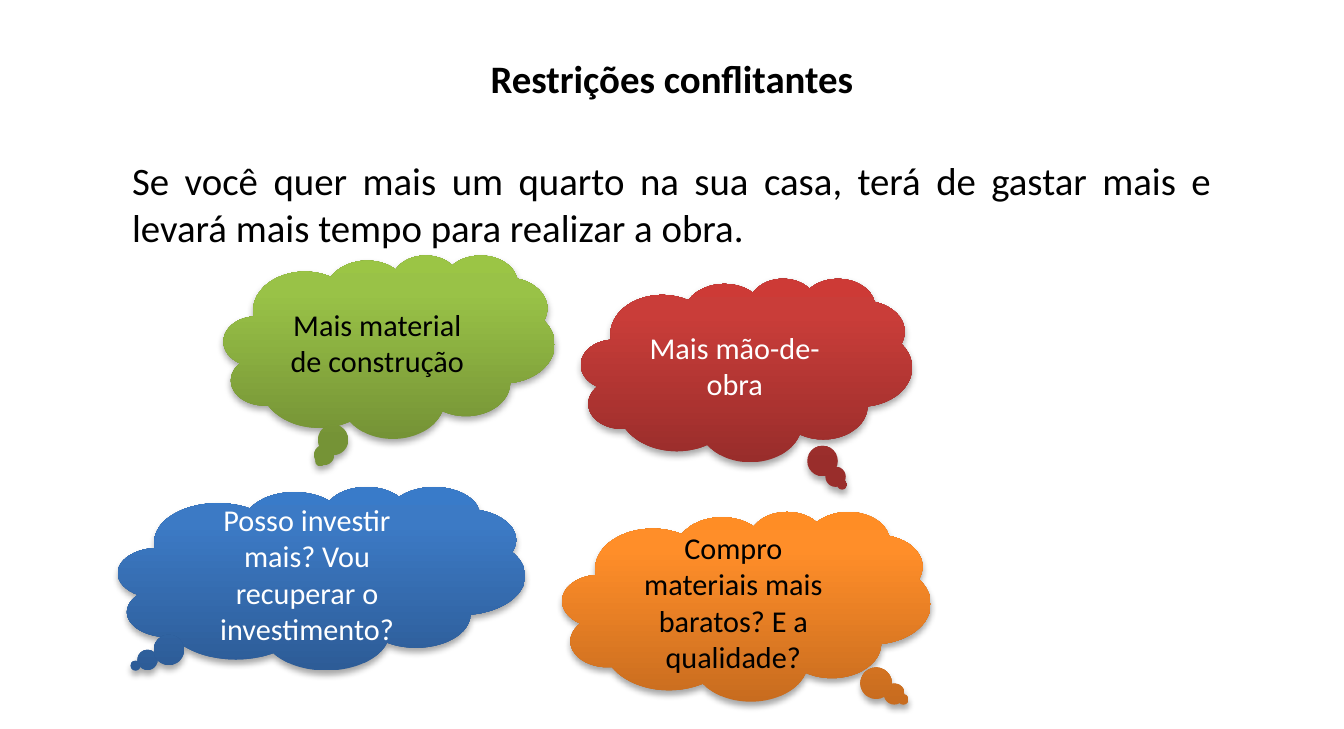
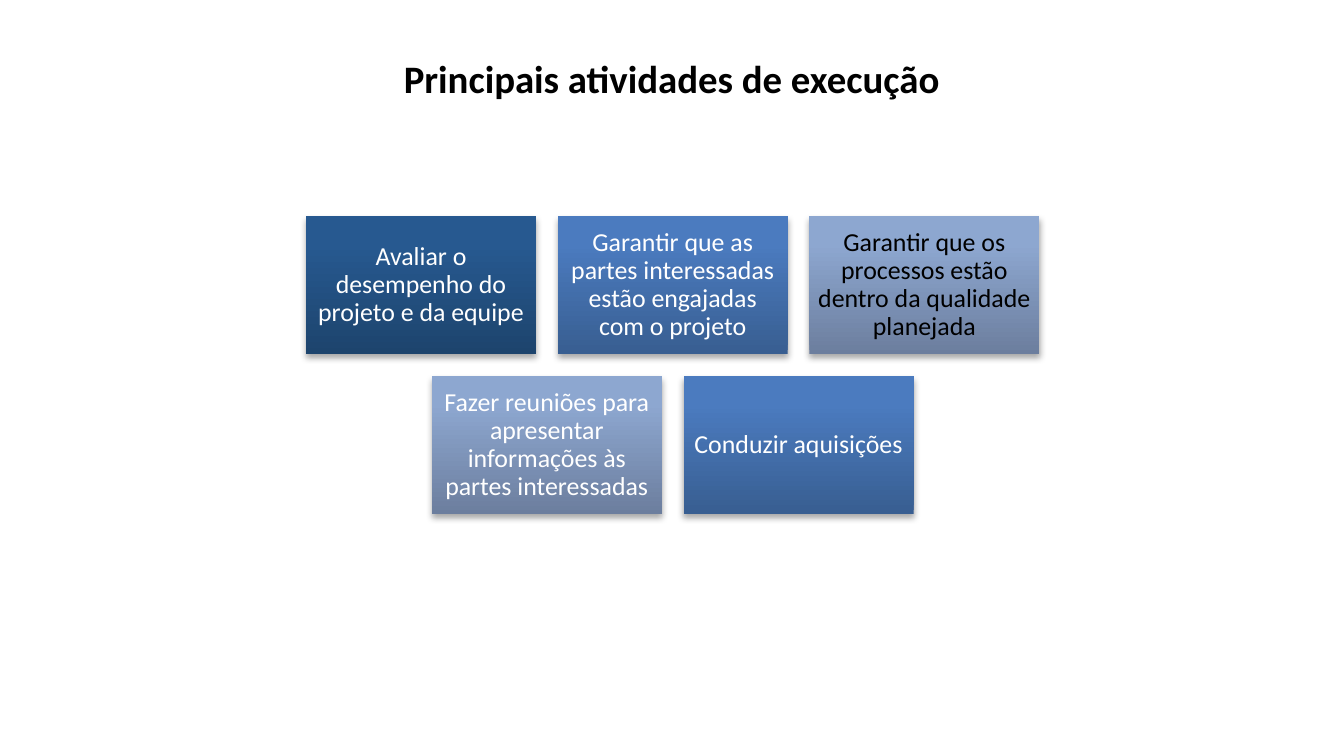
from copy import deepcopy
from dataclasses import dataclass

from lxml import etree
from pptx import Presentation
from pptx.dml.color import RGBColor
from pptx.enum.shapes import MSO_SHAPE as Preset
from pptx.enum.text import MSO_ANCHOR as Anchor, PP_ALIGN as Align
from pptx.oxml.ns import qn
from pptx.util import Inches, Pt


@dataclass(frozen=True)
class Theme:
    """Colours, gradients and type sizes shared by the slides."""

    font: str = "Calibri"
    black: str = "000000"
    white: str = "FFFFFF"
    heading_size: int = 18
    cloud_size: int = 14
    card_size: int = 12
    stops: tuple = (0, 0.8, 1)
    green: tuple = ("759336", "99C247", "9BC545")
    red: tuple = ("992D2B", "C93D39", "CD3A36")
    blue: tuple = ("2D5C97", "3C7AC5", "397BC9")
    orange: tuple = ("C86C1F", "FF8E29", "FF8D25")
    navy: tuple = ("1D446D", "275990", "255A93")
    steel: tuple = ("385E91", "4B7BBF", "497CC1")
    mist: tuple = ("6C7E9E", "8DA7D0", "8CA7D3")


@dataclass(frozen=True)
class Box:
    """A rectangle in inches."""

    left: float
    top: float
    width: float
    height: float

    def lengths(self):
        """Return the rectangle as slide lengths."""
        return [Inches(value) for value in (self.left, self.top, self.width, self.height)]

    def inner(self, left, top, width, height):
        """Return a rectangle placed relative to this one."""
        return Box(self.left + left, self.top + top, width, height)


THEME = Theme()
PAGE = Box(0, 0, 8.65, 4.69)


def write_text(shape, text, size, color, align=Align.CENTER, bold=False,
               anchor=Anchor.TOP, insets=(0.1, 0.05), spacing=None):
    """Fill a shape with one formatted paragraph."""
    frame = shape.text_frame
    frame.word_wrap = True
    frame.vertical_anchor = anchor
    frame.margin_left = frame.margin_right = Inches(insets[0])
    frame.margin_top = frame.margin_bottom = Inches(insets[1])
    paragraph = frame.paragraphs[0]
    paragraph.alignment = align
    if spacing:
        paragraph.line_spacing = spacing
    run = paragraph.add_run()
    run.text = text
    run.font.name = THEME.font
    run.font.size = Pt(size)
    run.font.bold = bold
    run.font.color.rgb = RGBColor.from_string(color)


def add_shadow(shape):
    """Give a shape the soft shadow that falls below it."""
    shape.shadow.inherit = False
    effects = shape.element.spPr.find(qn("a:effectLst"))
    shadow = etree.SubElement(effects, qn("a:outerShdw"), blurRad=str(Pt(3.1)),
                              dist=str(Pt(1.8)), dir="5400000", rotWithShape="0")
    color = etree.SubElement(shadow, qn("a:srgbClr"), val=THEME.black)
    etree.SubElement(color, qn("a:alpha"), val="35000")


def add_gradient_shape(slide, preset, box, colors):
    """Add a borderless shape, dark at the bottom, with a shadow."""
    shape = slide.shapes.add_shape(preset, *box.lengths())
    shape.fill.gradient()
    shape.fill.gradient_angle = 90
    stop_list = shape.element.spPr.find(".//" + qn("a:gsLst"))
    stop_list.append(deepcopy(stop_list[-1]))
    for stop, position, color in zip(shape.fill.gradient_stops, THEME.stops, colors):
        stop.position = position
        stop.color.rgb = RGBColor.from_string(color)
    shape.line.fill.background()
    add_shadow(shape)
    return shape


def add_titled_slide(presentation, title):
    """Add a blank slide with the shared centred title."""
    slide = presentation.slides.add_slide(presentation.slide_layouts[6])
    box = PAGE.inner(0, 0.3, PAGE.width, 0.4)
    write_text(slide.shapes.add_textbox(*box.lengths()), title,
               THEME.heading_size, THEME.black, bold=True)
    return slide


def add_statement(slide, box, text):
    """Add the justified statement."""
    write_text(slide.shapes.add_textbox(*box.lengths()), text, THEME.heading_size,
               THEME.black, align=Align.JUSTIFY, insets=(0.07, 0.04))


def add_clouds(slide, box):
    """Add the four thought clouds."""
    clouds = [
        ("Mais material de construção", (0.68, 0, 2.13, 1.18),
         (-0.208, 0.625), THEME.green, THEME.black),
        ("Mais mão-de-obra", (2.98, 0.15, 2.13, 1.18),
         (0.289, 0.625), THEME.red, THEME.white),
        ("Posso investir mais? Vou recuperar o investimento?", (0, 1.49, 2.62, 1.18),
         (-0.457, 0.477), THEME.blue, THEME.white),
        ("Compro materiais mais baratos? E a qualidade?", (2.86, 1.65, 2.37, 1.22),
         (0.426, 0.492), THEME.orange, THEME.black),
    ]
    for text, place, tail, colors, text_color in clouds:
        cloud = add_gradient_shape(slide, Preset.CLOUD_CALLOUT, box.inner(*place), colors)
        cloud.adjustments[0], cloud.adjustments[1] = tail
        write_text(cloud, text, THEME.cloud_size, text_color, anchor=Anchor.MIDDLE)


def add_activity_cards(slide, box):
    """Add rows of equal cards, each row centred in the box."""
    rows = [
        [("Avaliar o desempenho do projeto e da equipe", THEME.navy, THEME.white),
         ("Garantir que as partes interessadas estão engajadas com o projeto",
          THEME.steel, THEME.white),
         ("Garantir que os processos estão dentro da qualidade planejada",
          THEME.mist, THEME.black)],
        [("Fazer reuniões para apresentar informações às partes interessadas",
          THEME.mist, THEME.white),
         ("Conduzir aquisições", THEME.steel, THEME.white)],
    ]
    width, height, gap = 1.48, 0.89, 0.14
    for row_index, row in enumerate(rows):
        row_width = len(row) * (width + gap) - gap
        start = (box.width - row_width) / 2
        for column, (text, colors, text_color) in enumerate(row):
            place = box.inner(start + column * (width + gap),
                              row_index * (height + gap), width, height)
            card = add_gradient_shape(slide, Preset.RECTANGLE, place, colors)
            write_text(card, text, THEME.card_size, text_color, anchor=Anchor.MIDDLE,
                       insets=(0.05, 0.05), spacing=0.9)


def build_constraints_slide(presentation):
    """Build the slide on conflicting constraints."""
    slide = add_titled_slide(presentation, "Restrições conflitantes")
    add_statement(slide, PAGE.inner(0.78, 0.97, 7.09, 2.76),
                  "Se você quer mais um quarto na sua casa, terá de gastar mais "
                  "e levará mais tempo para realizar a obra.")
    add_clouds(slide, PAGE.inner(0.76, 1.64, 5.23, 2.87))


def build_activities_slide(presentation):
    """Build the slide on the main execution activities."""
    slide = add_titled_slide(presentation, "Principais atividades de execução")
    add_activity_cards(slide, PAGE.inner(1.97, 1.39, 4.72, 1.92))


def main():
    """Build and save the presentation."""
    presentation = Presentation()
    presentation.slide_width = Inches(PAGE.width)
    presentation.slide_height = Inches(PAGE.height)
    build_constraints_slide(presentation)
    build_activities_slide(presentation)
    presentation.save("out.pptx")


if __name__ == "__main__":
    main()
